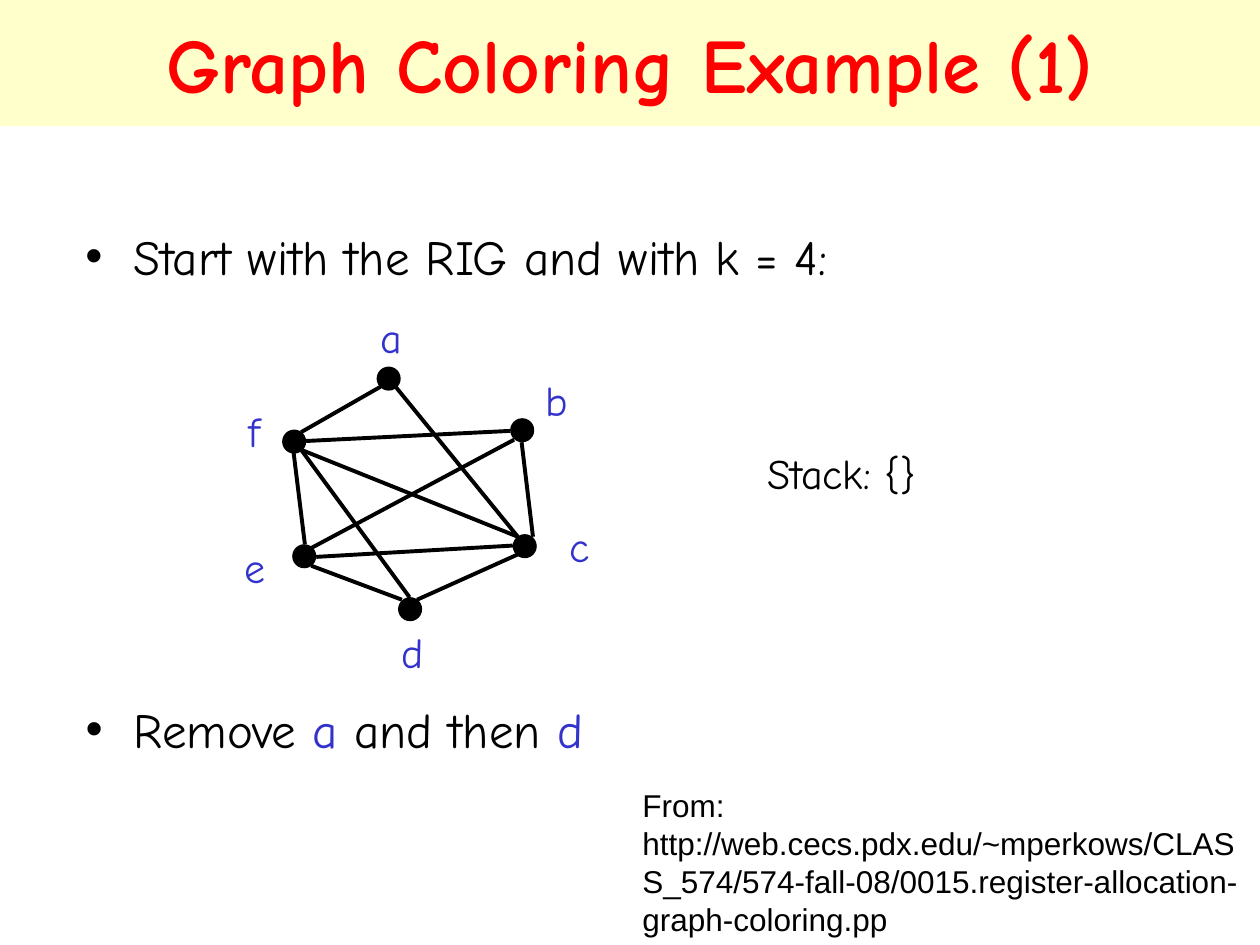
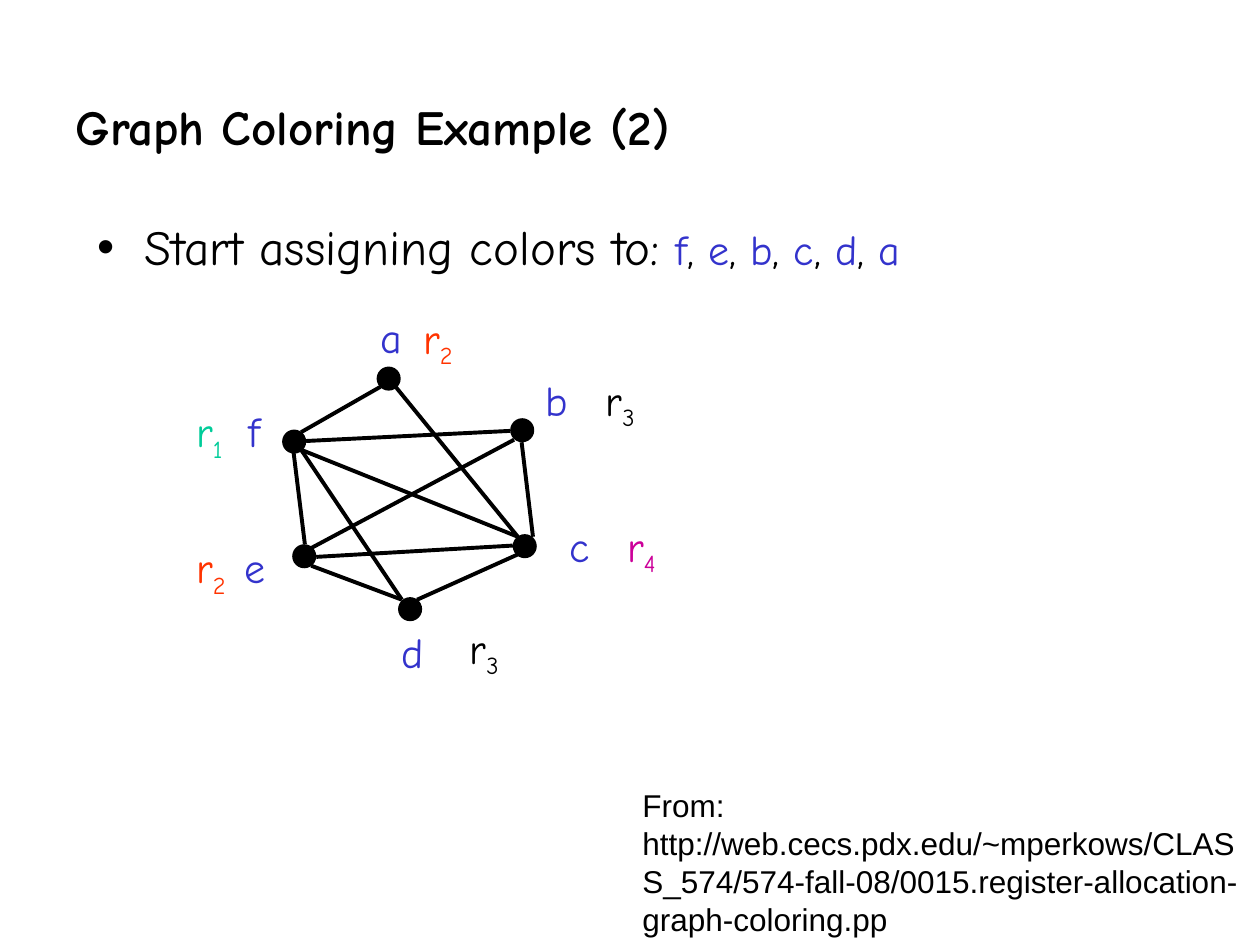
import pptx
import pptx.dml.color
import pptx.enum.shapes
import pptx.enum.text
import pptx.oxml.ns
import pptx.util
import lxml.etree

Inches = pptx.util.Inches
Pt = pptx.util.Pt
Fit = pptx.enum.text.MSO_AUTO_SIZE
Align = pptx.enum.text.PP_ALIGN
qn = pptx.oxml.ns.qn

COLORS = {
    "black": "000000",
    "blue": "3333CC",
    "red": "FF0000",
    "cream": "FFFFCC",
    "orange": "FF3300",
    "green": "00CC99",
    "pink": "CC0099",
}
FONT = "Comic Neue"
SOURCE = ("From: http://web.cecs.pdx.edu/~mperkows/CLASS_574/574-fall-08/"
          "0015.register-allocation-graph-coloring.pp")
DOT = 0.17

NODES = {
    "a": (3, 2.92),
    "b": (4.06, 3.33),
    "c": (4.08, 4.25),
    "d": (3.17, 4.75),
    "e": (2.33, 4.33),
    "f": (2.25, 3.42),
}
LABELS = {
    "a": (2.92, 2.42, 0.37),
    "b": (4.23, 2.92, 0.38),
    "c": (4.42, 4.08, 0.36),
    "d": (3.09, 4.92, 0.37),
    "e": (1.84, 4.25, 0.36),
    "f": (1.87, 3.17, 0.29),
}
EDGES = [
    (4.11, 4.4, 3.31, 4.76),
    (3.14, 3.07, 4.11, 4.26),
    (4.14, 3.51, 4.23, 4.26),
    (4.05, 3.42, 2.43, 3.5),
    (4.08, 3.49, 2.47, 4.35),
    (4.07, 4.33, 2.51, 4.42),
    (3.02, 3.07, 2.39, 3.43),
    (3.19, 4.76, 2.47, 4.49),
    (2.42, 4.32, 2.33, 3.59),
    (4.11, 4.26, 2.39, 3.57),
]
COLORED = [
    ("1", "green", 1.46, 3.17),
    ("2", "orange", 3.26, 2.43),
    ("2", "orange", 1.46, 4.25),
    ("3", "black", 4.71, 2.92),
    ("3", "black", 3.63, 4.89),
    ("4", "pink", 4.88, 4.08),
]


def rgb(name):
    return pptx.dml.color.RGBColor.from_string(COLORS[name])


def style(run, size, color, font=FONT, bold=False):
    run.font.size = Pt(size)
    run.font.name = font
    run.font.bold = bold
    run.font.color.rgb = rgb(color)


def place(shape, left, top, width, height):
    shape.left, shape.top = Inches(left), Inches(top)
    shape.width, shape.height = Inches(width), Inches(height)


def add_box(slide, left, top, width, height, wrap=True):
    box = slide.shapes.add_textbox(
        Inches(left), Inches(top), Inches(width), Inches(height))
    box.text_frame.word_wrap = wrap
    box.text_frame.auto_size = Fit.SHAPE_TO_FIT_TEXT
    return box


def add_text(slide, text, spot, size=24, color="black", font=FONT, wrap=True):
    box = add_box(slide, *spot, wrap=wrap)
    box.text_frame.text = text
    style(box.text_frame.paragraphs[0].runs[0], size, color, font)


def set_title(slide, text, spot, size, color, align):
    title = slide.shapes.title
    place(title, *spot)
    frame = title.text_frame
    frame.text = text
    frame.auto_size = Fit.NONE
    frame.vertical_anchor = pptx.enum.text.MSO_ANCHOR.MIDDLE
    frame.paragraphs[0].alignment = align
    style(frame.paragraphs[0].runs[0], size, color, bold=True)
    return title


def set_list(shape, parts):
    frame = shape.text_frame
    frame.auto_size = Fit.NONE
    para = frame.paragraphs[0]
    props = para._p.get_or_add_pPr()
    props.set("marL", str(Inches(0.38)))
    props.set("indent", str(-Inches(0.38)))
    tint = lxml.etree.SubElement(props, qn("a:buClr"))
    lxml.etree.SubElement(tint, qn("a:srgbClr"), val=COLORS["black"])
    lxml.etree.SubElement(props, qn("a:buFont"), typeface="Arial")
    lxml.etree.SubElement(props, qn("a:buChar"), char="•")
    para.space_before = Pt(0)
    for text, size, color in parts:
        run = para.add_run()
        run.text = text
        style(run, size, color)


def add_edge(slide, ends):
    line = slide.shapes.add_connector(
        pptx.enum.shapes.MSO_CONNECTOR.STRAIGHT, *map(Inches, ends))
    line.line.color.rgb = rgb("black")
    line.line.width = Pt(2.25)
    lxml.etree.SubElement(line._element.spPr, qn("a:effectLst"))


def add_node(slide, left, top):
    dot = slide.shapes.add_shape(
        pptx.enum.shapes.MSO_SHAPE.OVAL,
        Inches(left), Inches(top), Inches(DOT), Inches(DOT))
    dot.shadow.inherit = False
    dot.fill.solid()
    dot.fill.fore_color.rgb = rgb("black")
    dot.line.color.rgb = rgb("black")
    dot.line.width = Pt(1.5)


def add_graph(slide, last):
    for ends in EDGES + [last]:
        add_edge(slide, ends)
    for name, spot in NODES.items():
        add_node(slide, *spot)
        add_text(slide, name, (*LABELS[name], 0.5), color="blue", wrap=False)


def add_color(slide, digit, color, left, top):
    box = add_box(slide, left, top, 0.5, 0.56)
    para = box.text_frame.paragraphs[0]
    for text in ("r", digit):
        run = para.add_run()
        run.text = text
        style(run, 24, color)
    run._r.get_or_add_rPr().set("baseline", "-25000")


def add_slide(deck, last):
    slide = deck.slides.add_slide(deck.slide_layouts[1])
    add_graph(slide, last)
    add_text(slide, SOURCE, (5, 6.19, 5, 1.3), 18, font="Arial")
    return slide


def add_start(deck):
    slide = add_slide(deck, (3.25, 4.74, 2.39, 3.57))
    title = set_title(slide, "Graph Coloring Example (1)", (0, 0, 10, 1),
                      44, "red", Align.CENTER)
    title.fill.solid()
    title.fill.fore_color.rgb = rgb("cream")
    intro = add_box(slide, 0.58, 1.75, 8.75, 0.67)
    set_list(intro, [("Start with the RIG and with k = 4:", 28, "black")])
    body = slide.placeholders[1]
    place(body, 0.58, 5.5, 9.08, 0.58)
    set_list(body, [("Remove ", 28, "black"), ("a", 28, "blue"),
                    (" and then ", 28, "black"), ("d", 28, "blue")])
    add_text(slide, "Stack: {}", (5.99, 3.5, 1.5, 0.5), wrap=False)


def add_finish(deck):
    slide = add_slide(deck, (3.19, 4.76, 2.39, 3.57))
    set_title(slide, "Graph Coloring Example (2)", (0.5, 0.5, 8.83, 1),
              28, "black", Align.LEFT)
    parts = [("Start assigning colors to: ", 28, "black")]
    for name in "febcd":
        parts += [(name, 24, "blue"), (", ", 24, "black")]
    parts.append(("a", 24, "blue"))
    body = slide.placeholders[1]
    place(body, 0.67, 1.67, 9.08, 0.75)
    set_list(body, parts)
    for item in COLORED:
        add_color(slide, *item)


def main():
    deck = pptx.Presentation()
    deck.slide_width, deck.slide_height = Inches(10), Inches(7.5)
    add_start(deck)
    add_finish(deck)
    deck.save("out.pptx")


if __name__ == "__main__":
    main()
